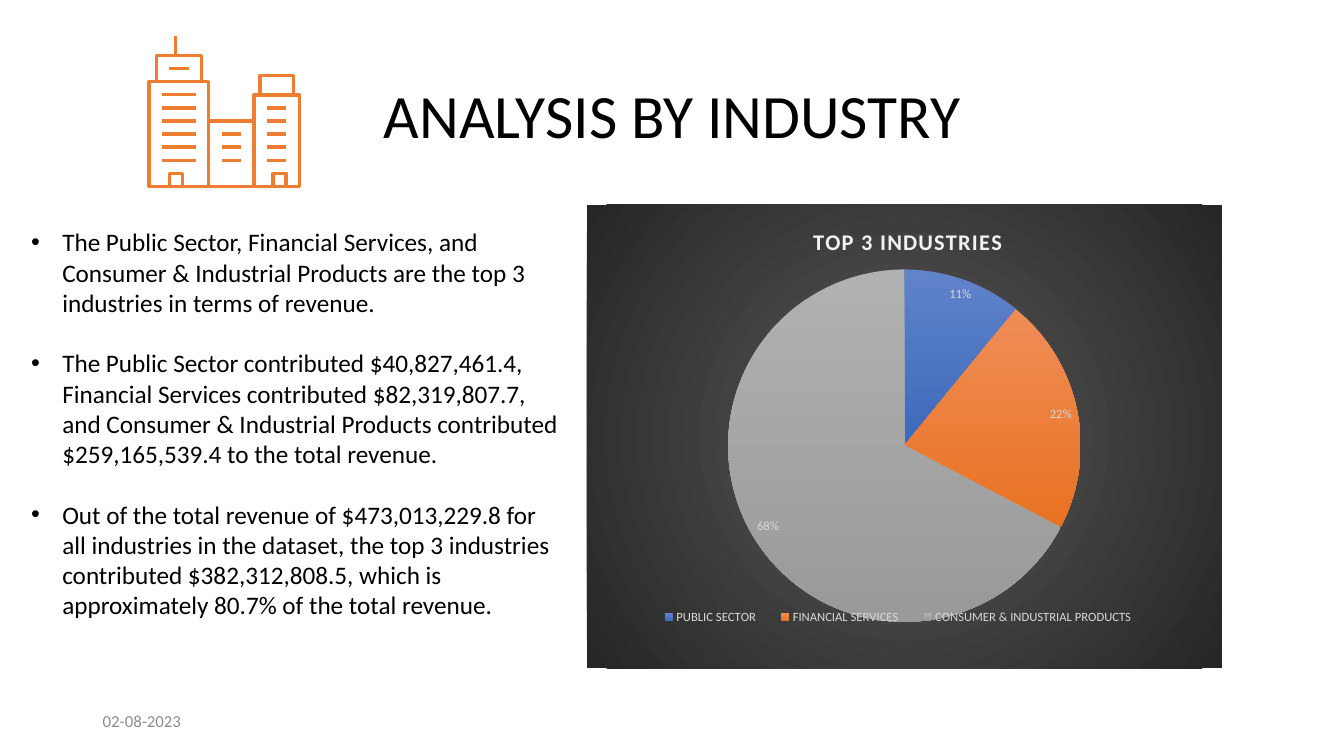
from lxml import etree
from pptx import Presentation
from pptx import util as u
from pptx.chart.data import CategoryChartData
from pptx.dml.color import RGBColor
from pptx.enum import chart as charts, shapes, text
from pptx.oxml import parse_xml
from pptx.oxml.ns import nsdecls, qn

FONT = "Calibri"
COLORS = {
    "text": "000000", "date": "8C8C8C", "icon": "ED7D31",
    "chart_title": "F2F2F2", "chart_text": "D9D9D9",
    "area_center": "595959", "area_edge": "262626",
}
INDUSTRIES = [
    ("PUBLIC SECTOR", 11, "6083CA", "3C69BA"),
    ("FINANCIAL SERVICES", 22, "EF8D57", "E97221"),
    ("CONSUMER & INDUSTRIAL PRODUCTS", 68, "B1B1B1", "9A9A9A"),
]
FINDINGS = [
    "The Public Sector, Financial Services, and Consumer & Industrial Products "
    "are the top 3 industries in terms of revenue.",
    "The Public Sector contributed $40,827,461.4, Financial Services contributed "
    "$82,319,807.7, and Consumer & Industrial Products contributed "
    "$259,165,539.4 to the total revenue.",
    "Out of the total revenue of $473,013,229.8 for all industries in the dataset, "
    "the top 3 industries contributed $382,312,808.5, which is approximately "
    "80.7% of the total revenue.",
]


def style_font(font, size, color, bold=False):
    """Set the typeface, size and colour of a font."""
    font.name, font.size, font.bold = FONT, u.Pt(size), bold
    font.color.rgb = RGBColor.from_string(COLORS[color])


def add_text_frame(slide, box, anchor):
    """Add a wrapping text box and return its text frame."""
    frame = slide.shapes.add_textbox(*map(u.Inches, box)).text_frame
    frame.word_wrap = True
    frame.vertical_anchor = anchor
    return frame


def add_label(slide, box, wording, size, color, alignment):
    """Add a single line of text centred vertically in its box."""
    paragraph = add_text_frame(slide, box, text.MSO_ANCHOR.MIDDLE).paragraphs[0]
    paragraph.alignment = alignment
    run = paragraph.add_run()
    run.text = wording
    style_font(run.font, size, color)


def add_findings(slide, box):
    """Add the bulleted findings."""
    frame = add_text_frame(slide, box, text.MSO_ANCHOR.TOP)
    frame.auto_size = text.MSO_AUTO_SIZE.SHAPE_TO_FIT_TEXT
    for index, finding in enumerate(FINDINGS):
        paragraph = frame.add_paragraph() if index else frame.paragraphs[0]
        properties = paragraph._p.get_or_add_pPr()
        properties.set("marL", str(u.Inches(0.31)))
        properties.set("indent", str(u.Inches(-0.31)))
        etree.SubElement(properties, qn("a:buFont")).set("typeface", "Arial")
        etree.SubElement(properties, qn("a:buChar")).set("char", "•")
        if index:
            paragraph.space_before = u.Pt(21.6)
        run = paragraph.add_run()
        run.text = finding
        style_font(run.font, 18, "text")


def add_city_icon(slide, box):
    """Draw the outlined city buildings as one group."""
    left, top, width, height = box
    group = slide.shapes.add_group_shape()
    ground = top + height

    def outline(shape):
        shape.line.color.rgb = RGBColor.from_string(COLORS["icon"])
        shape.line.width = u.Pt(2.5)

    def block(x, y, block_width, block_height):
        shape = group.shapes.add_shape(
            shapes.MSO_SHAPE.RECTANGLE,
            *map(u.Inches, (left + x, top + y, block_width, block_height)))
        shape.shadow.inherit = False
        shape.fill.background()
        outline(shape)

    def stroke(x1, y1, x2, y2):
        line = group.shapes.add_connector(
            shapes.MSO_CONNECTOR.STRAIGHT,
            *map(u.Inches, (left + x1, top + y1, left + x2, top + y2)))
        outline(line)
        etree.SubElement(line._element.spPr, qn("a:effectLst"))

    block(0, 0.45, 0.59, height - 0.45)
    block(0.07, 0.19, 0.45, 0.26)
    stroke(0.26, 0.19, 0.26, 0)
    block(width - 0.45, 0.58, 0.45, height - 0.58)
    block(width - 0.39, 0.39, 0.33, 0.19)
    for y in (0.84, ground - top):
        stroke(0.59, y, width - 0.45, y)
    stroke(0.2, 0.32, 0.39, 0.32)
    for x, window_width, rows in ((0.13, 0.33, 6), (1.17, 0.19, 5), (0.72, 0.19, 3)):
        for row in range(rows):
            y = 1.23 - 0.13 * row
            stroke(x, y, x + window_width, y)
    for x in (0.2, 1.23):
        block(x, height - 0.13, 0.13, 0.13)


def place(element, inner=False, **fractions):
    """Give a chart part a manual layout in fractions of the chart."""
    for old in element.findall(qn("c:layout")):
        element.remove(old)
    target = '<c:layoutTarget val="inner"/>' if inner else ""
    modes = "".join(f'<c:{name}Mode val="edge"/>' for name in "xy")
    values = "".join(f'<c:{name} val="{value}"/>' for name, value in fractions.items())
    layout = parse_xml(f'<c:layout {nsdecls("c")}><c:manualLayout>{target}{modes}'
                       f'{values}</c:manualLayout></c:layout>')
    before = [child for name in ("c:tx", "c:legendPos")
              for child in element.findall(qn(name))]
    if before:
        before[-1].addnext(layout)
    else:
        element.insert(0, layout)


def fill_chart_area(chart):
    """Fill the chart background with a radial gradient."""
    stops = "".join(
        f'<a:gs pos="{position}"><a:srgbClr val="{COLORS[name]}"/></a:gs>'
        for position, name in ((0, "area_center"), (100000, "area_edge")))
    chart._chartSpace.chart.addnext(parse_xml(
        f'<c:spPr {nsdecls("c", "a")}><a:gradFill><a:gsLst>{stops}</a:gsLst>'
        '<a:path path="circle"><a:fillToRect l="50000" t="50000" r="50000" b="50000"/>'
        '</a:path></a:gradFill><a:ln><a:noFill/></a:ln></c:spPr>'))


def add_industry_chart(slide, box):
    """Add the pie chart of the top industries."""
    data = CategoryChartData()
    data.categories = [industry[0] for industry in INDUSTRIES]
    data.add_series("Series 1", [industry[1] for industry in INDUSTRIES])
    chart = slide.shapes.add_chart(
        charts.XL_CHART_TYPE.PIE, *map(u.Inches, box), data).chart
    style_font(chart.font, 10, "text")
    fill_chart_area(chart)

    chart.has_title = True
    run = chart.chart_title.text_frame.paragraphs[0].add_run()
    run.text = "TOP 3 INDUSTRIES"
    style_font(run.font, 16, "chart_title", bold=True)
    run.font._element.set("spc", "100")
    place(chart.chart_title._element, x=0.35, y=0.04)

    chart.has_legend = True
    chart.legend.position = charts.XL_LEGEND_POSITION.BOTTOM
    chart.legend.include_in_layout = False
    style_font(chart.legend.font, 9, "chart_text")
    place(chart.legend._element, x=0.09, y=0.86, w=0.8, h=0.06)

    plot = chart.plots[0]
    plot.vary_by_categories = True
    place(chart._chartSpace.chart.plotArea, inner=True, x=0.22, y=0.14, w=0.56, h=0.76)
    for index, (_, _, *gradient) in enumerate(INDUSTRIES):
        point_format = plot.series[0].points[index].format
        point_format.line.fill.background()
        point_format.fill.gradient()
        point_format.fill.gradient_angle = 270
        for stop, color in zip(point_format.fill.gradient_stops, gradient):
            stop.color.rgb = RGBColor.from_string(color)
    labels = plot.series[0].data_labels
    labels.show_value = True
    labels.number_format, labels.number_format_is_linked = '0"%"', False
    labels.position = charts.XL_LABEL_POSITION.BEST_FIT
    style_font(labels.font, 9, "chart_text")


def main():
    """Build the industry analysis slide."""
    presentation = Presentation()
    presentation.slide_width, presentation.slide_height = u.Inches(13.33), u.Inches(7.5)
    slide = presentation.slides.add_slide(presentation.slide_layouts[6])
    add_label(slide, (0.92, 0.4, 11.5, 1.45), "ANALYSIS BY INDUSTRY", 44, "text",
              text.PP_ALIGN.CENTER)
    add_city_icon(slide, (1.48, 0.36, 1.49, 1.49))
    add_industry_chart(slide, (5.82, 2.03, 6.3, 4.6))
    add_findings(slide, (0.21, 2.2, 5.43, 4.04))
    add_label(slide, (0.92, 6.95, 3, 0.4), "02-08-2023", 12, "date", text.PP_ALIGN.LEFT)
    presentation.save("out.pptx")


if __name__ == "__main__":
    main()
